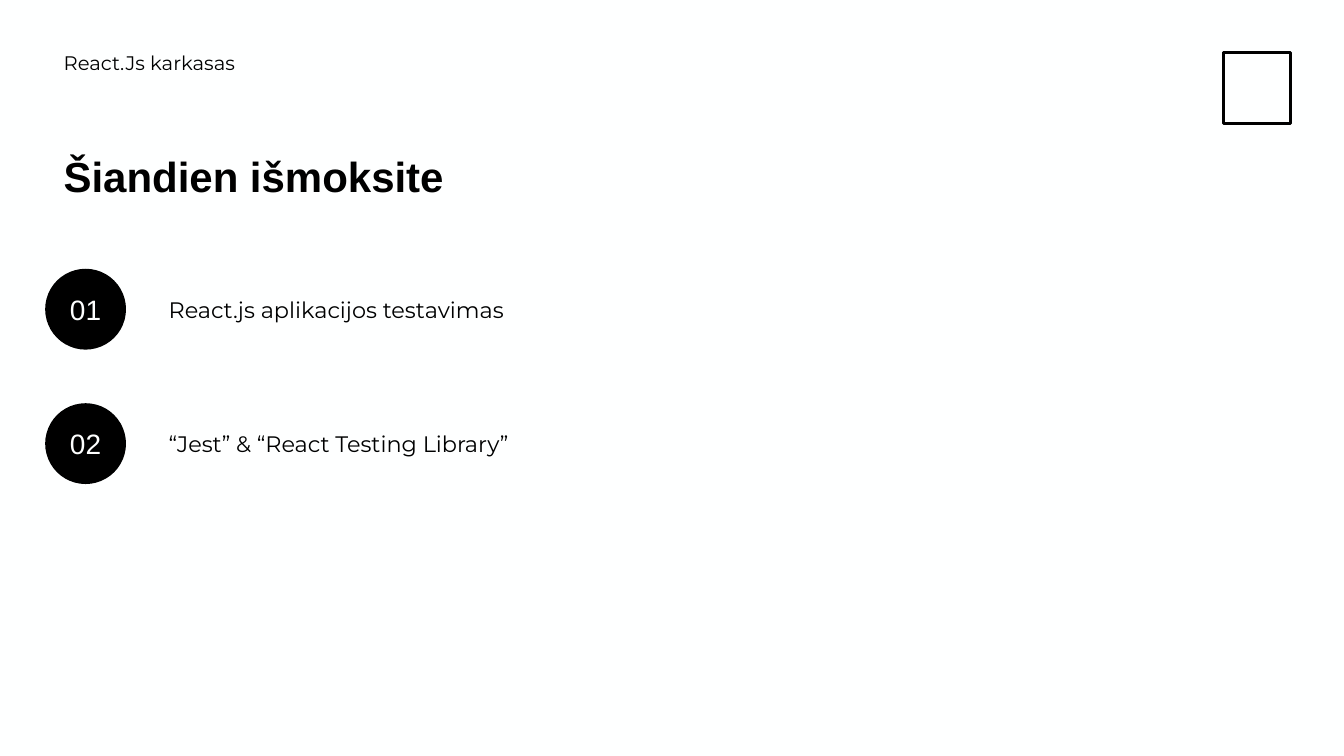
from dataclasses import dataclass

from pptx import Presentation
from pptx.dml.color import RGBColor
from pptx.enum.shapes import MSO_SHAPE as Preset
from pptx.enum.text import MSO_ANCHOR as Anchor, MSO_AUTO_SIZE as AutoSize, PP_ALIGN as Align
from pptx.oxml.ns import qn
from pptx.shapes.base import BaseShape
from pptx.slide import Slide
from pptx.util import Emu, Pt

EMU_PER_PX = 9525
BLACK, WHITE = "000000", "FEFFFF"


@dataclass(frozen=True)
class Box:
    left: int
    top: int
    width: int
    height: int


@dataclass(frozen=True)
class TextStyle:
    font: str
    size: int
    color: str = BLACK
    bold: bool = False
    align: Align = Align.LEFT
    anchor: Anchor = Anchor.TOP
    line_spacing: float = 1.0


@dataclass(frozen=True)
class Topic:
    number: str
    text: str
    placeholder: int


HEADER = TextStyle("Montserrat", 14, line_spacing=0.8)
TITLE = TextStyle("Arial", 30, bold=True, line_spacing=0.9)
TOPIC = TextStyle("Montserrat", 16, anchor=Anchor.MIDDLE)
NUMBER = TextStyle("Arial", 20, WHITE, align=Align.CENTER, anchor=Anchor.MIDDLE)

TOPICS = [
    Topic("01", "React.js aplikacijos testavimas", 2),
    Topic("02", "“Jest” & “React Testing Library”", 3),
]
FIRST_TOPIC_TOP, TOPIC_STEP, CIRCLE_SIZE = 256, 128, 77


def px(length: int) -> Emu:
    return Emu(length * EMU_PER_PX)


def rgb(color: str) -> RGBColor:
    return RGBColor.from_string(color)


def place(shape: BaseShape, box: Box) -> None:
    shape.left, shape.top = px(box.left), px(box.top)
    shape.width, shape.height = px(box.width), px(box.height)


def write(shape: BaseShape, text: str, style: TextStyle) -> None:
    frame = shape.text_frame
    frame.text = text
    frame.word_wrap = True
    frame.auto_size = AutoSize.NONE
    frame.vertical_anchor = style.anchor
    paragraph = frame.paragraphs[0]
    paragraph.alignment = style.align
    paragraph.line_spacing = style.line_spacing
    paragraph.space_before = Pt(0)
    # Plain text without bullet or hanging indent
    properties = paragraph._p.get_or_add_pPr()
    properties.set("marL", "0")
    properties.set("indent", "0")
    properties.append(properties.makeelement(qn("a:buNone"), {}))
    font = paragraph.font
    font.name, font.size, font.bold = style.font, Pt(style.size), style.bold
    font.color.rgb = rgb(style.color)


def fill_placeholder(slide: Slide, index: int, box: Box, text: str, style: TextStyle) -> None:
    shape = slide.placeholders[index]
    place(shape, box)
    write(shape, text, style)


def add_topic(slide: Slide, topic: Topic, top: int) -> None:
    circle = slide.shapes.add_shape(
        Preset.OVAL, px(43), px(top), px(CIRCLE_SIZE), px(CIRCLE_SIZE))
    circle.shadow.inherit = False
    circle.fill.solid()
    circle.fill.fore_color.rgb = rgb(BLACK)
    circle.line.fill.background()
    write(circle, topic.number, NUMBER)
    fill_placeholder(slide, topic.placeholder, Box(151, top, 444, CIRCLE_SIZE), topic.text, TOPIC)


def add_emblem(slide: Slide, box: Box) -> None:
    emblem = slide.shapes.add_shape(Preset.RECTANGLE, 0, 0, 0, 0)
    place(emblem, box)
    emblem.shadow.inherit = False
    emblem.fill.background()
    emblem.line.color.rgb = rgb(BLACK)
    emblem.line.width = px(3)


def main() -> None:
    presentation = Presentation()
    presentation.slide_width, presentation.slide_height = px(1280), px(720)
    slide = presentation.slides.add_slide(presentation.slide_layouts.get_by_name("Comparison"))
    slide.background.fill.solid()
    slide.background.fill.fore_color.rgb = rgb(WHITE)

    # Header, title and emblem
    fill_placeholder(slide, 1, Box(51, 48, 589, 48), "React.Js karkasas", HEADER)
    fill_placeholder(slide, 0, Box(51, 144, 541, 143), "Šiandien išmoksite", TITLE)
    add_emblem(slide, Box(1165, 50, 64, 68))

    # Numbered topics
    for row, topic in enumerate(TOPICS):
        add_topic(slide, topic, FIRST_TOPIC_TOP + row * TOPIC_STEP)

    # Unused placeholder
    unused = slide.placeholders[4].element
    unused.getparent().remove(unused)

    presentation.save("out.pptx")


if __name__ == "__main__":
    main()
